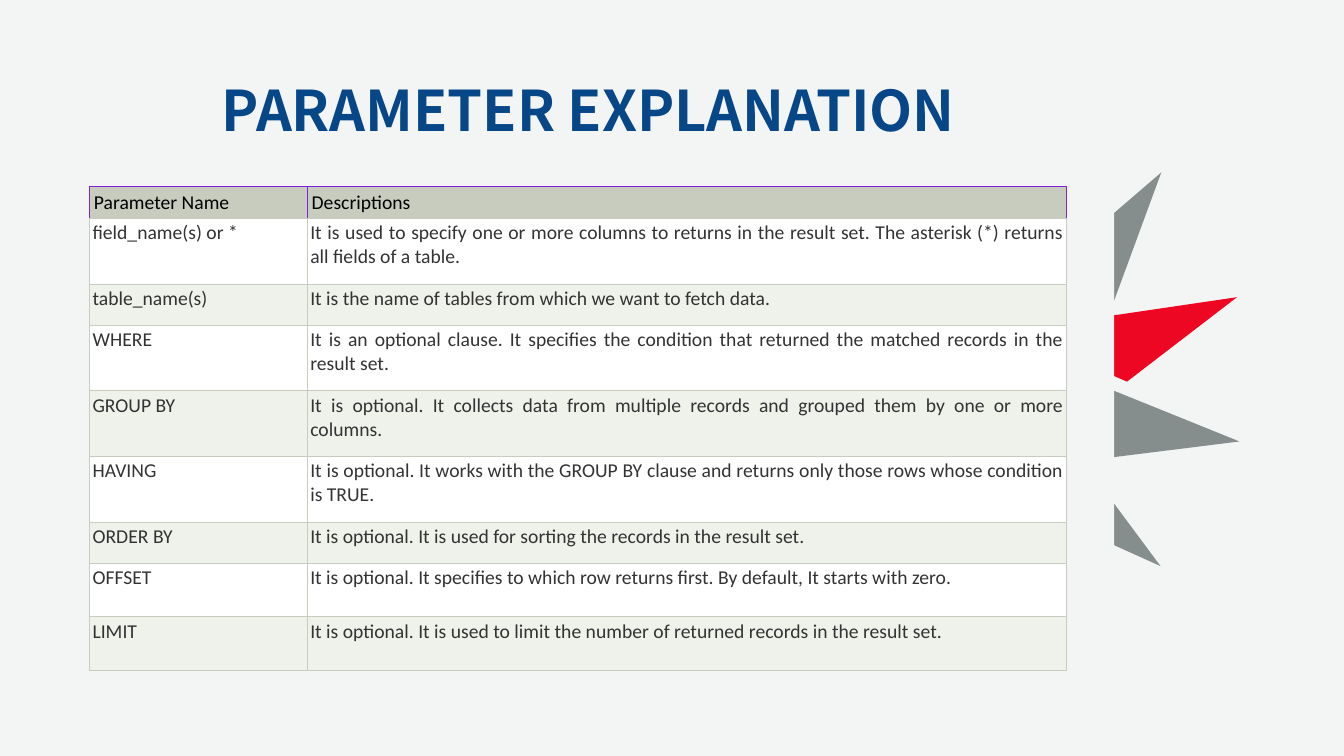
from lxml.etree import SubElement
from pptx import Presentation
from pptx.dml.color import RGBColor
from pptx.enum.shapes import MSO_SHAPE as Preset
from pptx.enum.text import MSO_ANCHOR as Anchor, PP_ALIGN as Align
from pptx.oxml.ns import qn
from pptx.util import Inches, Pt

WIDTH, HEIGHT = Inches(13.33), Inches(7.5)
GRID = 100

PAPER, GREY, RED, NAVY = "F3F5F5", "868D8D", "ED0722", "074787"
SAGE, PALE, WHITE = "C7CCBE", "EFF1EB", "FFFFFF"
PURPLE, BLACK, CHARCOAL = "8021DC", "000000", "333333"

LEFT = 6.68
CONTENT_WIDTH = 74.19
RAY_SIZE = (17.03, 8.93)
RAYS = [
    (75.47, 41.47, 171.6, RED),
    (70.74, 60.93, 233.4, GREY),
    (74.87, 52.4, 202, GREY),
    (73.07, 31.6, 139.3, GREY),
]
PANELS = [
    (8.4, 28.13, CONTENT_WIDTH, 62.4),
    (79.74, 28.13, 3.15, 62.4),
]
TABLE_TOP = 24.67
COLUMN_WIDTHS = [16.2, 56.49]
HEADER_ROW, SHORT_ROW, MEDIUM_ROW, TALL_ROW = 4.13, 5.47, 7.07, 8.67
PARAMETERS = [
    (HEADER_ROW, "Parameter Name", "Descriptions"),
    (TALL_ROW, "field_name(s) or *",
     "It is used to specify one or more columns to returns in the result set. "
     "The asterisk (*) returns all fields of a table."),
    (SHORT_ROW, "table_name(s)",
     "It is the name of tables from which we want to fetch data."),
    (TALL_ROW, "WHERE",
     "It is an optional clause. It specifies the condition that returned "
     "the matched records in the result set."),
    (TALL_ROW, "GROUP BY",
     "It is optional. It collects data from multiple records and grouped "
     "them by one or more columns."),
    (TALL_ROW, "HAVING",
     "It is optional. It works with the GROUP BY clause and returns only "
     "those rows whose condition is TRUE."),
    (SHORT_ROW, "ORDER BY",
     "It is optional. It is used for sorting the records in the result set."),
    (MEDIUM_ROW, "OFFSET",
     "It is optional. It specifies to which row returns first. "
     "By default, It starts with zero."),
    (MEDIUM_ROW, "LIMIT",
     "It is optional. It is used to limit the number of returned records "
     "in the result set."),
]


def color(value):
    return RGBColor.from_string(value)


def across(columns):
    return round(WIDTH * columns / GRID)


def down(rows):
    return round(HEIGHT * rows / GRID)


def place(left, top, width, height):
    return across(left), down(top), across(width), down(height)


def style_font(font, name, size, fill, bold=False):
    font.name = name
    font.size = Pt(size)
    font.bold = bold
    font.color.rgb = color(fill)


def add_plain_shape(page, preset, area, fill):
    shape = page.shapes.add_shape(preset, *place(*area))
    shape.shadow.inherit = False
    shape.fill.solid()
    shape.fill.fore_color.rgb = color(fill)
    shape.line.fill.background()
    return shape


def add_ray(page, left, top, angle, fill):
    ray = add_plain_shape(page, Preset.ISOSCELES_TRIANGLE, (left, top, *RAY_SIZE), fill)
    ray.adjustments[0] = 0.53
    ray.rotation = angle


def add_title(page, text):
    box = page.shapes.add_textbox(*place(LEFT, 5.33, CONTENT_WIDTH, 19.33))
    frame = box.text_frame
    frame.word_wrap = True
    frame.vertical_anchor = Anchor.MIDDLE
    frame.text = text
    para = frame.paragraphs[0]
    para.alignment = Align.CENTER
    para.line_spacing = 0.9
    style_font(para.runs[0].font, "Noto Sans CJK SC", 40, NAVY, bold=True)


def set_borders(cell, side_color, bottom_color):
    properties = cell._tc.get_or_add_tcPr()
    edges = [("L", side_color), ("R", side_color), ("T", side_color), ("B", bottom_color)]
    for index, (edge, value) in enumerate(edges):
        line = SubElement(properties, qn(f"a:ln{edge}"), w=str(Pt(0.6)))
        fill = SubElement(line, qn("a:solidFill"))
        SubElement(fill, qn("a:srgbClr"), val=value)
        properties.insert(index, line)


def fill_cell(cell, text, fill, is_header):
    inset = Pt(3 if is_header else 2)
    cell.margin_left = cell.margin_right = inset
    cell.margin_top = cell.margin_bottom = inset
    cell.fill.solid()
    cell.fill.fore_color.rgb = color(fill)
    set_borders(cell, PURPLE if is_header else SAGE, SAGE)
    cell.text_frame.text = text
    para = cell.text_frame.paragraphs[0]
    para.alignment = Align.LEFT if is_header else Align.JUSTIFY
    style_font(para.runs[0].font, "Calibri", 14, BLACK if is_header else CHARCOAL)


def add_parameter_table(page):
    heights = [height for height, *_ in PARAMETERS]
    area = place(LEFT, TABLE_TOP, sum(COLUMN_WIDTHS), sum(heights))
    table = page.shapes.add_table(len(PARAMETERS), len(COLUMN_WIDTHS), *area).table
    table.horz_banding = table.first_row = False
    for column, width in zip(table.columns, COLUMN_WIDTHS):
        column.width = across(width)
    for index, (height, *texts) in enumerate(PARAMETERS):
        row = table.rows[index]
        row.height = down(height)
        is_header = index == 0
        fill = SAGE if is_header else WHITE if index % 2 else PALE
        for cell, text in zip(row.cells, texts):
            fill_cell(cell, text, fill, is_header)


def main():
    deck = Presentation()
    deck.slide_width, deck.slide_height = WIDTH, HEIGHT
    page = deck.slides.add_slide(deck.slide_layouts[6])
    page.background.fill.solid()
    page.background.fill.fore_color.rgb = color(PAPER)
    for ray in RAYS:
        add_ray(page, *ray)
    for panel in PANELS:
        add_plain_shape(page, Preset.RECTANGLE, panel, PAPER)
    add_title(page, "PARAMETER EXPLANATION")
    add_parameter_table(page)
    deck.save("out.pptx")


if __name__ == "__main__":
    main()
